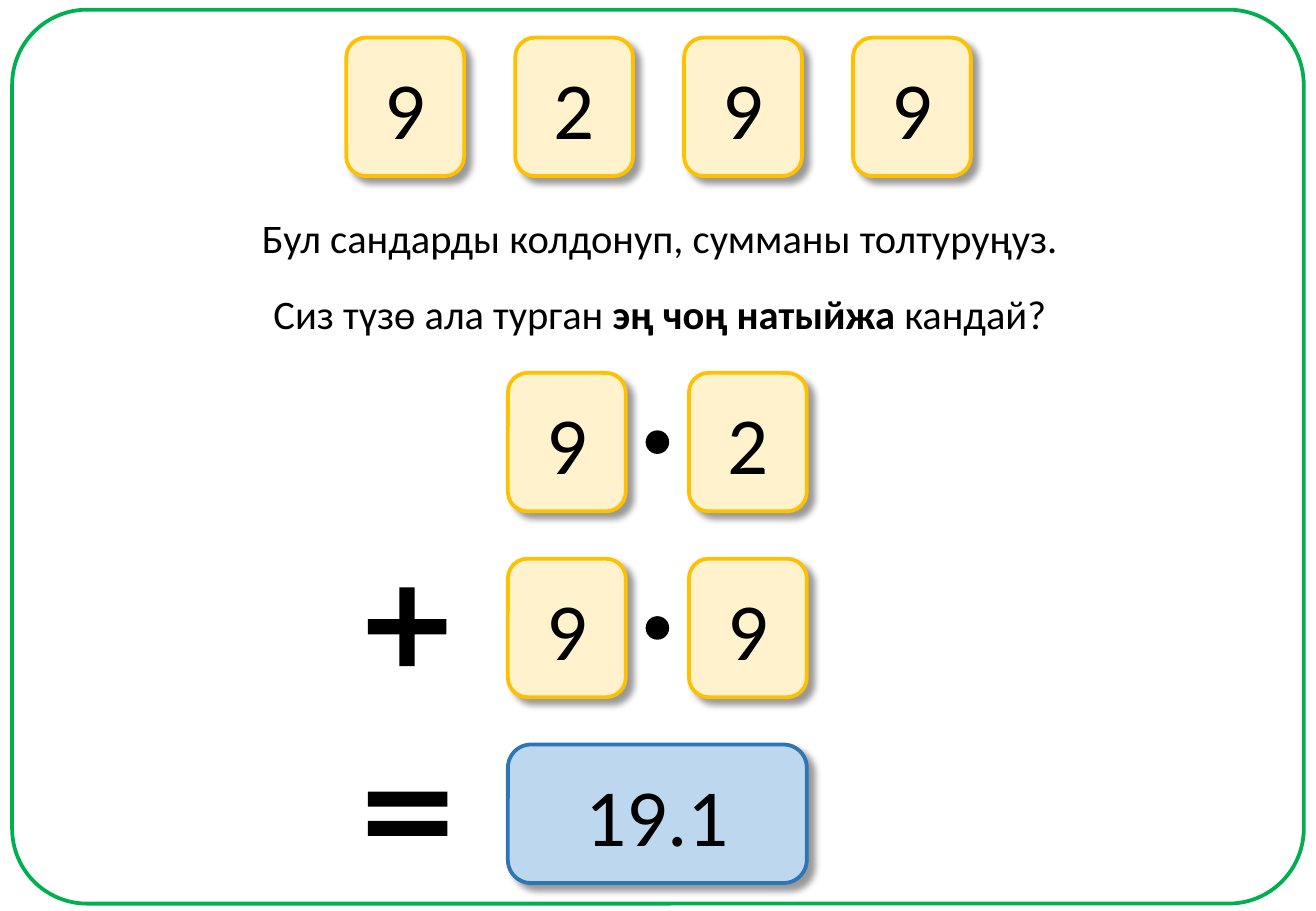
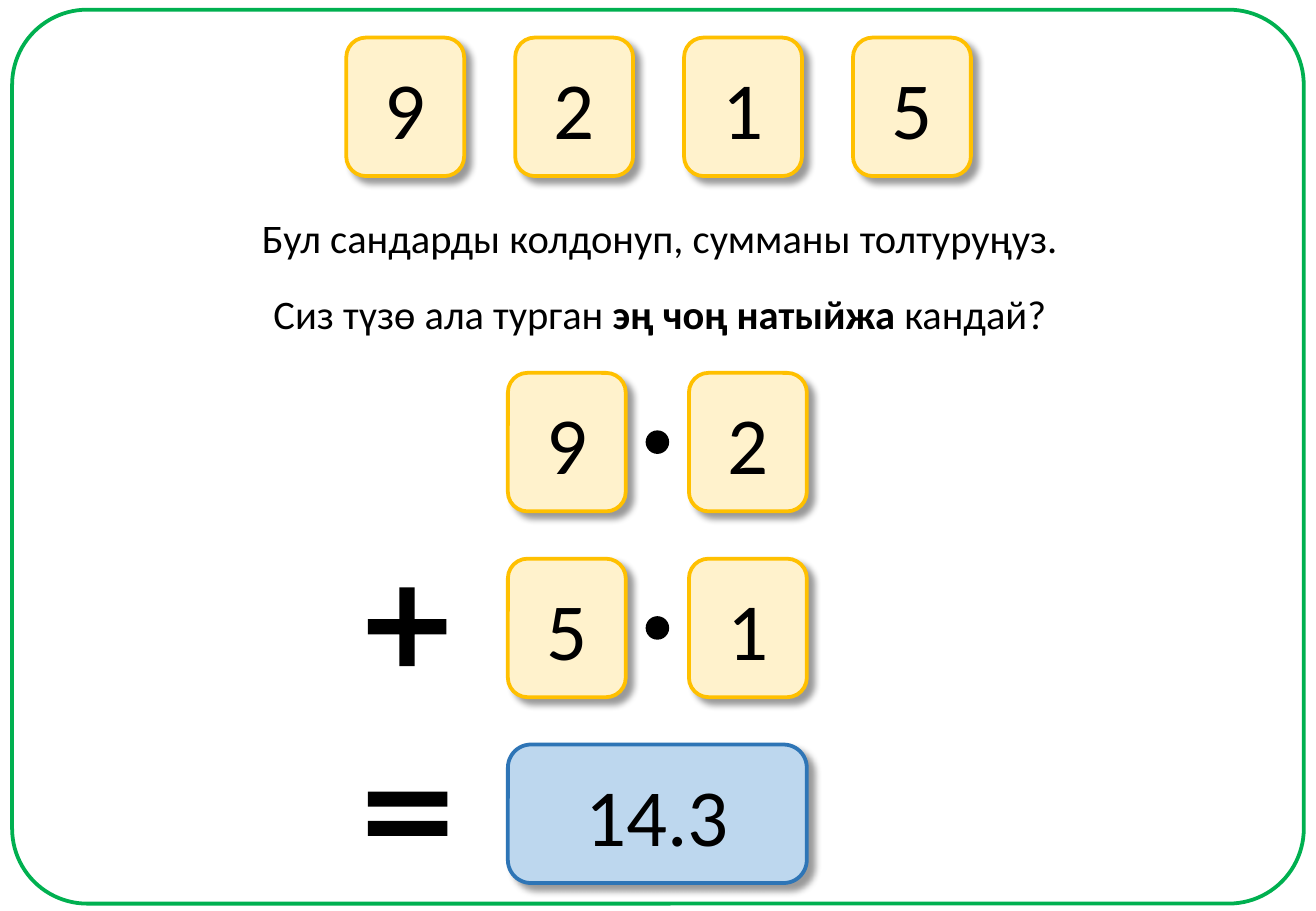
from lxml import etree
from pptx import Presentation
from pptx import util as u
from pptx.dml.color import RGBColor
from pptx.enum import shapes, text
from pptx.oxml.ns import qn

PX = 9144  # 100 px to the inch
FONT = "Calibri"
HUES = {"ink": "000000", "frame": "00B050", "card": "FFF2CC",
        "edge": "FFC000", "sum": "BDD7EE", "rim": "2E75B6"}
KIND = shapes.MSO_SHAPE

# Shared grid
CARD_W, CARD_H = 97, 114
LEFT, RIGHT = 418, 567   # digit columns of the sum
TOP, STEP = 307, 153     # rows of the sum

ASK = [("Бул сандарды колдонуп, сумманы толтуруңуз.", False)]
GOAL = [("Сиз түзө ала турган ", False), ("эң чоң натыйжа ", True),
        ("кандай?", False)]
TASKS = [
    {"cards": "9299", "terms": ["92", "99"], "total": "19.1"},
    {"cards": "9215", "terms": ["92", "51"], "total": "14.3"},
]


def hue(name):
    return RGBColor.from_string(HUES[name])


def write(frame, runs, size=24, wrap=False, anchor=text.MSO_ANCHOR.TOP):
    """Fill a text frame with one centred line of (words, bold) runs."""
    frame.word_wrap = wrap
    frame.vertical_anchor = anchor
    frame.auto_size = text.MSO_AUTO_SIZE.NONE
    line = frame.paragraphs[0]
    line.alignment = text.PP_ALIGN.CENTER
    line.line_spacing = 1.0
    line.space_before = u.Pt(0)
    for words, bold in runs:
        run = line.add_run()
        run.text = words
        font = run.font
        font.name, font.size, font.bold = FONT, u.Pt(size), bold
        font.color.rgb = hue("ink")


def draw(host, kind, box, fill=None, line=None, width=2.25, adjust=()):
    """Add a flat preset shape."""
    shape = host.add_shape(kind, *(n * PX for n in box))
    shape.shadow.inherit = False
    for i, value in enumerate(adjust):
        shape.adjustments[i] = value
    if fill:
        shape.fill.solid()
        shape.fill.fore_color.rgb = hue(fill)
    else:
        shape.fill.background()
    if line:
        shape.line.color.rgb = hue(line)
        shape.line.width = u.Pt(width)
    else:
        shape.line.fill.background()
    return shape


def shade(shape):
    """Cast a soft shadow down and to the right."""
    effects = shape._element.spPr.find(qn("a:effectLst"))
    outer = etree.SubElement(
        effects, qn("a:outerShdw"), blurRad=str(u.Pt(4)), dist=str(u.Pt(5)),
        dir="2700000", algn="tl", rotWithShape="0")
    color = etree.SubElement(outer, qn("a:srgbClr"), val=HUES["ink"])
    etree.SubElement(color, qn("a:alpha"), val="40000")


def card(host, label, x, y, w=CARD_W, fill="card", line="edge"):
    shape = draw(host, KIND.ROUNDED_RECTANGLE, (x, y, w, CARD_H), fill, line)
    shade(shape)
    write(shape.text_frame, [(label, False)], size=48, wrap=True,
          anchor=text.MSO_ANCHOR.MIDDLE)


def place(shape, x, y, w, h):
    shape.left, shape.top = x * PX, y * PX
    shape.width, shape.height = w * PX, h * PX


def build(deck, task):
    slide = deck.slides.add_slide(deck.slide_layouts[5])
    tree = slide.shapes

    # Frame and question
    draw(tree, KIND.ROUNDED_RECTANGLE, (10, 8, 1063, 736), line="frame",
         adjust=[0.084])
    place(tree.title, 202, 170, 682, 50)
    write(tree.title.text_frame, ASK)
    goal = tree.add_textbox(212 * PX, 233 * PX, 662 * PX, 50 * PX)
    write(goal.text_frame, GOAL)

    # Number cards to choose from
    group = tree.add_group_shape()
    for i, digit in enumerate(task["cards"]):
        card(group.shapes, digit, 285 + 139 * i, 31)

    # Decimal numbers to add
    for i, (whole, tenth) in enumerate(task["terms"]):
        y = TOP + STEP * i
        card(tree, whole, LEFT, y)
        card(tree, tenth, RIGHT, y)
        draw(tree, KIND.OVAL, (532, y + 48, 18, 18), "ink", "ink", width=1)

    # Signs and result
    draw(tree, KIND.MATH_PLUS, (291, 472, 88, 88), "ink", adjust=[0.144])
    draw(tree, KIND.MATH_EQUAL, (291, 620, 89, 100), "ink",
         adjust=[0.123, 0.118])
    card(tree, task["total"], LEFT, TOP + 2 * STEP,
         w=RIGHT + CARD_W - LEFT, fill="sum", line="rim")


def main():
    deck = Presentation()
    deck.slide_width, deck.slide_height = 1083 * PX, 750 * PX
    for task in TASKS:
        build(deck, task)
    deck.save("out.pptx")


if __name__ == "__main__":
    main()
